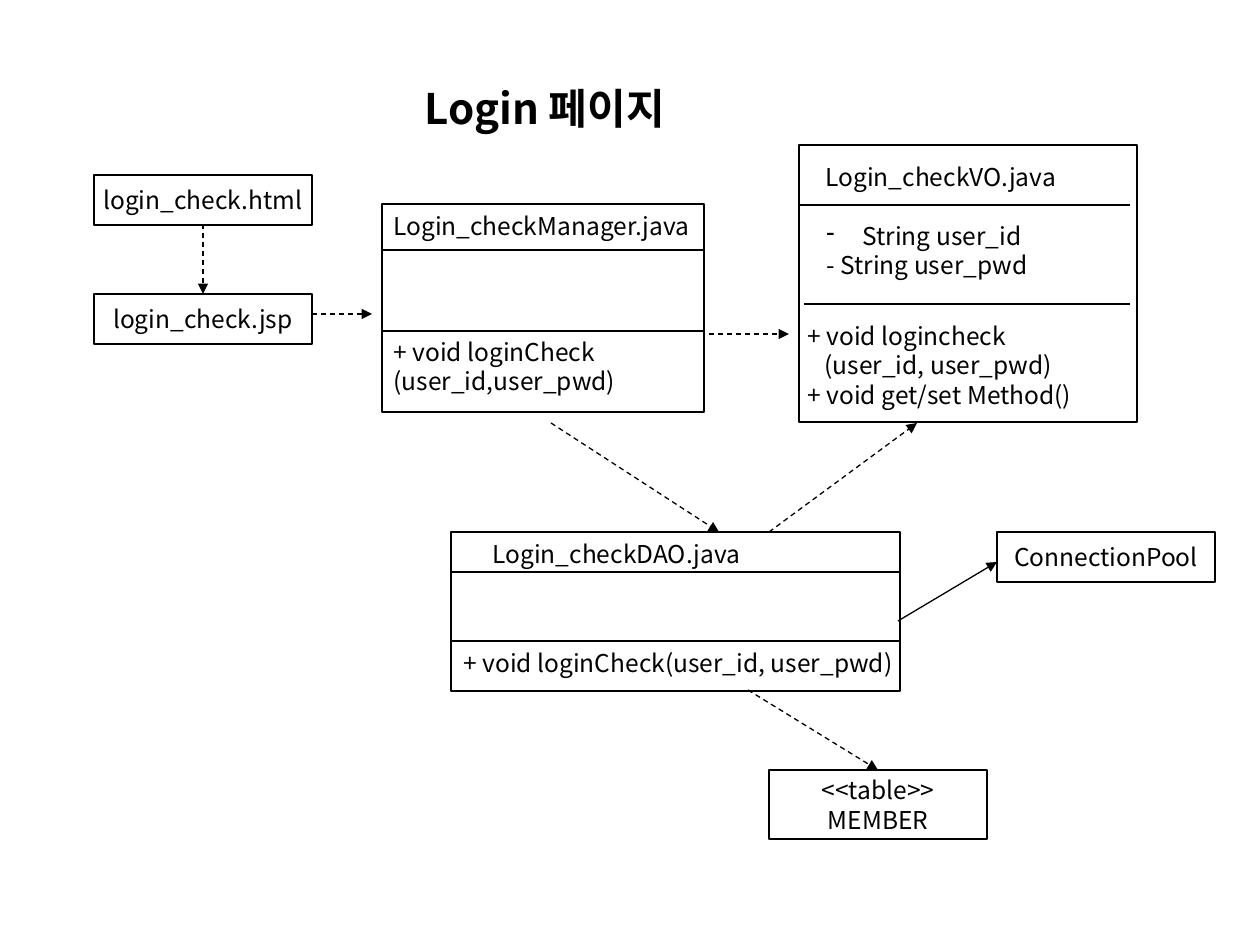
from lxml import etree
from pptx import Presentation
from pptx.dml.color import RGBColor
from pptx.enum.dml import MSO_LINE
from pptx.enum.shapes import MSO_CONNECTOR, MSO_SHAPE
from pptx.enum.text import MSO_ANCHOR, MSO_AUTO_SIZE, PP_ALIGN
from pptx.oxml.ns import qn
from pptx.util import Pt

PX = 914400 / 126
FONT = "Noto Sans CJK KR"
BLACK = RGBColor(0x00, 0x00, 0x00)
WHITE = RGBColor(0xFF, 0xFF, 0xFF)
RECT = MSO_SHAPE.RECTANGLE
STRAIGHT = MSO_CONNECTOR.STRAIGHT
DASH = MSO_LINE.DASH
LEFT, CENTER = PP_ALIGN.LEFT, PP_ALIGN.CENTER
TOP, MIDDLE = MSO_ANCHOR.TOP, MSO_ANCHOR.MIDDLE
NO_FIT = MSO_AUTO_SIZE.NONE


def px(*values):
    """Turn pixel lengths into EMU."""
    return [round(v * PX) for v in values]


def write(sp, text, align=LEFT, anchor=TOP, size=14, leading=17, bold=False):
    """Fill a shape with unwrapped text and format it."""
    tf = sp.text_frame
    tf.text = text
    tf.auto_size = NO_FIT
    tf.word_wrap = False
    tf.vertical_anchor = anchor
    for p in tf.paragraphs:
        p.alignment = align
        p.line_spacing = Pt(leading)
        p.space_before = Pt(0)
        for r in p.runs:
            r.font.size = Pt(size)
            r.font.bold = bold
            r.font.color.rgb = BLACK
            r.font.name = FONT
            etree.SubElement(r.font._element, qn("a:ea"), typeface=FONT)
    return tf


def indent(p, left, bullet=None):
    """Indent a paragraph, hanging a bullet character if one is given."""
    ppr = p._p.get_or_add_pPr()
    margin = px(left)[0]
    ppr.set("marL", str(margin))
    ppr.set("indent", str(-margin if bullet else 0))
    if bullet:
        etree.SubElement(ppr, qn("a:buChar"), char=bullet)


def add_title(s, text, box):
    """Place the slide title."""
    sp = s.shapes.title
    sp.left, sp.top, sp.width, sp.height = px(*box)
    write(sp, text, size=24, leading=29, bold=True)


def add_box(s, box, text=None):
    """Add an outlined white rectangle, with centred text if given."""
    sp = s.shapes.add_shape(RECT, *px(*box))
    sp.shadow.inherit = False
    sp.fill.solid()
    sp.fill.fore_color.rgb = WHITE
    sp.line.color.rgb = BLACK
    sp.line.width = Pt(0.75)
    if text:
        write(sp, text, CENTER, MIDDLE)


def add_label(s, box, text):
    """Add a left-aligned text box."""
    return write(s.shapes.add_textbox(*px(*box)), text)


def add_line(s, ends, dashed=False, arrow=False):
    """Add a straight line between two points."""
    cx = s.shapes.add_connector(STRAIGHT, *px(*ends))
    cx.line.color.rgb = BLACK
    cx.line.width = Pt(0.75)
    if dashed:
        cx.line.dash_style = DASH
    if arrow:
        etree.SubElement(cx.line._get_or_add_ln(), qn("a:tailEnd"), type="triangle")
    etree.SubElement(cx._element.spPr, qn("a:effectLst"))


def add_class(s, box, dividers, labels):
    """Add a class box with divider lines and return its text frames."""
    add_box(s, box)
    for left, right, y in dividers:
        add_line(s, (left, y, right, y))
    return [add_label(s, at, text) for at, text in labels]


def main():
    """Build the login class diagram."""
    prs = Presentation()
    prs.slide_width, prs.slide_height = px(1260, 945)
    s = prs.slides.add_slide(prs.slide_layouts[5])
    add_title(s, "Login 페이지", (412, 76, 289, 63))

    for box, text in [
        ((94, 175, 218, 50), "login_check.html"),
        ((94, 294, 218, 50), "login_check.jsp"),
        ((769, 770, 218, 69), "<<table>>\nMEMBER"),
        ((997, 532, 218, 50), "ConnectionPool"),
    ]:
        add_box(s, box, text)

    add_class(s, (382, 204, 322, 208), [(382, 704, 250), (382, 704, 331)], [
        ((381, 204, 324, 43), "Login_checkManager.java"),
        ((381, 330, 247, 72), "+ void loginCheck\n(user_id,user_pwd)"),
    ])
    add_class(s, (451, 532, 449, 159), [(451, 900, 572), (451, 900, 641)], [
        ((480, 532, 273, 43), "Login_checkDAO.java"),
        ((451, 641, 626, 43), "+ void loginCheck(user_id, user_pwd)"),
    ])
    _, fields, methods = add_class(
        s, (799, 145, 338, 277), [(799, 1130, 205), (804, 1130, 304)], [
            ((813, 155, 256, 43), "Login_checkVO.java"),
            ((814, 214, 229, 72), "String user_id\n- String user_pwd"),
            ((795, 314, 294, 101),
             "+ void logincheck\n(user_id, user_pwd)\n+ void get/set Method()"),
        ])
    indent(fields.paragraphs[0], 36, "-")
    indent(methods.paragraphs[1], 17)

    for ends in [
        (203, 224, 203, 294),
        (312, 314, 372, 314),
        (551, 423, 719, 532),
        (748, 690, 878, 770),
        (769, 532, 917, 423),
        (709, 334, 789, 334),
    ]:
        add_line(s, ends, dashed=True, arrow=True)
    add_line(s, (898, 621, 997, 562), arrow=True)

    prs.save("out.pptx")


if __name__ == "__main__":
    main()
